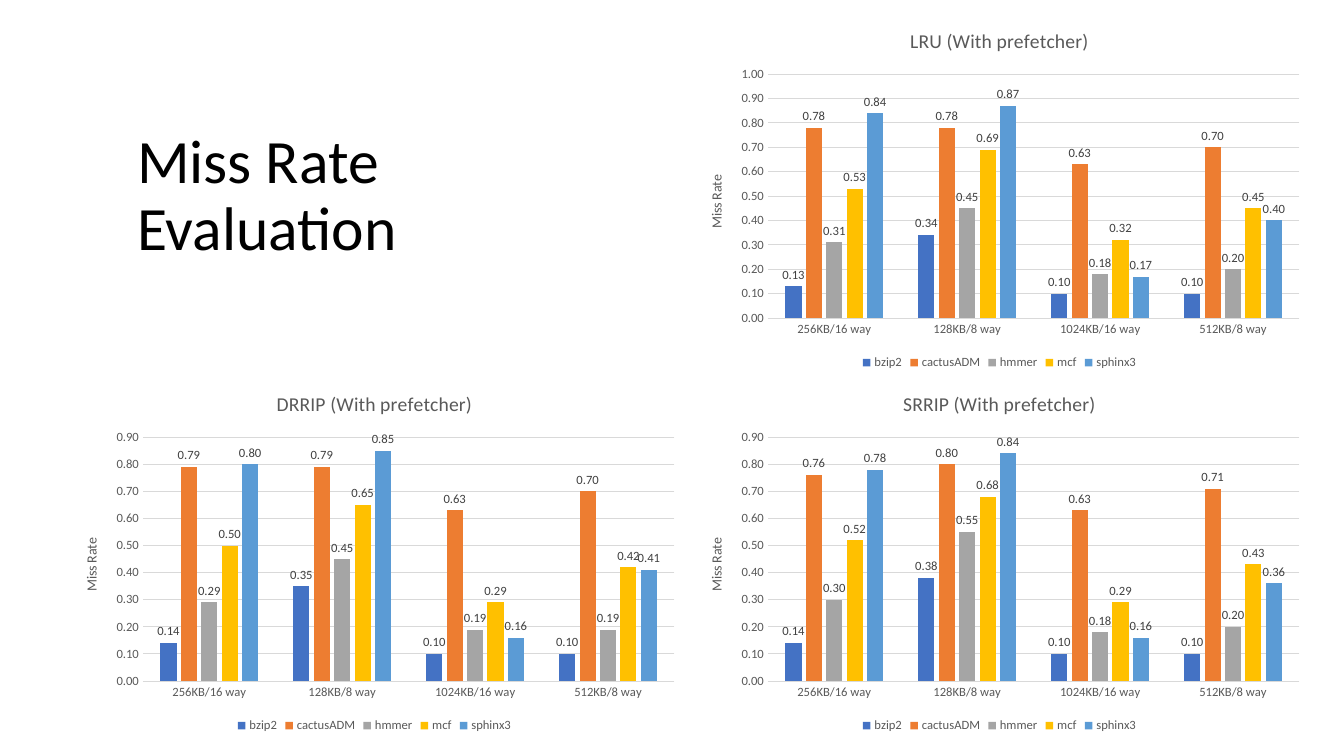
from dataclasses import dataclass

import pptx
import pptx.chart.data
import pptx.dml.color
import pptx.enum.chart
import pptx.enum.text
import pptx.util


@dataclass(frozen=True)
class Theme:
    """Font, colours and type sizes of the slide."""
    font: str = "Calibri"
    black: str = "000000"
    grey: str = "595959"
    label: str = "404040"
    rule: str = "D9D9D9"
    series: tuple = ("4472C4", "ED7D31", "A5A5A5", "FFC000", "5B9BD5")
    heading: int = 44
    chart_title: int = 14
    axis_title: int = 10
    small: int = 9


THEME = Theme()
EMU_PER_PIXEL = 914400 / 100.8
SLIDE_SIZE = (1344, 756)
TITLE_BOX = (127, 124, 531, 146)
CHART_WIDTH, CHART_HEIGHT = 625, 363
COLUMNS = (62, 62 + CHART_WIDTH)
ROWS = (11, 11 + CHART_HEIGHT)
NUMBER_FORMAT = "0.00"

CACHES = ("256KB/16 way", "128KB/8 way", "1024KB/16 way", "512KB/8 way")
BENCHMARKS = ("bzip2", "cactusADM", "hmmer", "mcf", "sphinx3")

# Policy, column, row, axis maximum, one row of miss rates per benchmark
POLICIES = (
    ("DRRIP", 0, 1, 0.9, (
        (0.14, 0.35, 0.10, 0.10),
        (0.79, 0.79, 0.63, 0.70),
        (0.29, 0.45, 0.19, 0.19),
        (0.50, 0.65, 0.29, 0.42),
        (0.80, 0.85, 0.16, 0.41))),
    ("SRRIP", 1, 1, 0.9, (
        (0.14, 0.38, 0.10, 0.10),
        (0.76, 0.80, 0.63, 0.71),
        (0.30, 0.55, 0.18, 0.20),
        (0.52, 0.68, 0.29, 0.43),
        (0.78, 0.84, 0.16, 0.36))),
    ("LRU", 1, 0, 1.0, (
        (0.13, 0.34, 0.10, 0.10),
        (0.78, 0.78, 0.63, 0.70),
        (0.31, 0.45, 0.18, 0.20),
        (0.53, 0.69, 0.32, 0.45),
        (0.84, 0.87, 0.17, 0.40))),
)


def emu(pixels):
    """Turn pixels into EMU."""
    return pptx.util.Emu(round(pixels * EMU_PER_PIXEL))


def apply(target, values):
    """Set each attribute of target from a dict."""
    for name, value in values.items():
        setattr(target, name, value)


def style_font(font, size, color):
    """Give a font the theme's face, a size and a colour."""
    apply(font, {"name": THEME.font, "size": pptx.util.Pt(size), "bold": False})
    font.color.rgb = pptx.dml.color.RGBColor.from_string(color)


def style_line(line, color):
    """Draw a thin line in one colour."""
    line.width = pptx.util.Pt(0.75)
    line.color.rgb = pptx.dml.color.RGBColor.from_string(color)


def write_text(text_frame, text, size, color):
    """Write one styled run into a text frame."""
    text_frame.text = text
    style_font(text_frame.paragraphs[0].runs[0].font, size, color)


def add_title(slide, text):
    """Place and fill the title placeholder."""
    title = slide.shapes.title
    apply(title, dict(zip(("left", "top", "width", "height"), map(emu, TITLE_BOX))))
    write_text(title.text_frame, text, THEME.heading, THEME.black)
    apply(title.text_frame, {
        "word_wrap": True,
        "vertical_anchor": pptx.enum.text.MSO_ANCHOR.MIDDLE,
        "auto_size": pptx.enum.text.MSO_AUTO_SIZE.NONE,
    })
    apply(title.text_frame.paragraphs[0], {
        "alignment": pptx.enum.text.PP_ALIGN.LEFT, "line_spacing": 0.9})


def style_axes(chart, maximum):
    """Format the cache axis and the miss rate axis."""
    no_tick = pptx.enum.chart.XL_TICK_MARK.NONE
    for axis in (chart.category_axis, chart.value_axis):
        apply(axis, {"major_tick_mark": no_tick, "minor_tick_mark": no_tick})
        style_font(axis.tick_labels.font, THEME.small, THEME.grey)
    style_line(chart.category_axis.format.line, THEME.rule)
    rates = chart.value_axis
    apply(rates, {"minimum_scale": 0, "maximum_scale": maximum, "major_unit": 0.1,
                  "has_major_gridlines": True})
    apply(rates.tick_labels, {"number_format": NUMBER_FORMAT,
                              "number_format_is_linked": False})
    rates.format.line.fill.background()
    style_line(rates.major_gridlines.format.line, THEME.rule)
    write_text(rates.axis_title.text_frame, "Miss Rate", THEME.axis_title, THEME.grey)


def style_series(plot):
    """Colour the columns and show their values."""
    apply(plot, {"gap_width": 219, "overlap": -27, "vary_by_categories": False})
    for series, color in zip(plot.series, THEME.series):
        series.invert_if_negative = False
        series.format.fill.solid()
        series.format.fill.fore_color.rgb = pptx.dml.color.RGBColor.from_string(color)
        labels = series.data_labels
        apply(labels, {
            "show_value": True,
            "number_format": NUMBER_FORMAT,
            "number_format_is_linked": False,
            "position": pptx.enum.chart.XL_LABEL_POSITION.OUTSIDE_END,
        })
        style_font(labels.font, THEME.small, THEME.label)


def add_miss_rate_chart(slide, policy, column, row, maximum, rates):
    """Add the column chart of one replacement policy."""
    data = pptx.chart.data.CategoryChartData(number_format=NUMBER_FORMAT)
    data.categories = CACHES
    for benchmark, values in zip(BENCHMARKS, rates):
        data.add_series(benchmark, values)
    chart = slide.shapes.add_chart(
        pptx.enum.chart.XL_CHART_TYPE.COLUMN_CLUSTERED,
        emu(COLUMNS[column]), emu(ROWS[row]),
        emu(CHART_WIDTH), emu(CHART_HEIGHT), data).chart
    style_font(chart.font, THEME.axis_title, THEME.black)
    apply(chart, {"has_title": True, "has_legend": True})
    write_text(chart.chart_title.text_frame, f"{policy} (With prefetcher)",
               THEME.chart_title, THEME.grey)
    chart.chart_title.include_in_layout = False
    apply(chart.legend, {"position": pptx.enum.chart.XL_LEGEND_POSITION.BOTTOM,
                         "include_in_layout": False})
    style_font(chart.legend.font, THEME.small, THEME.grey)
    style_axes(chart, maximum)
    style_series(chart.plots[0])


def main():
    """Build and save the slide."""
    presentation = pptx.Presentation()
    width, height = map(emu, SLIDE_SIZE)
    apply(presentation, {"slide_width": width, "slide_height": height})
    title_only = presentation.slide_layouts.get_by_name("Title Only")
    slide = presentation.slides.add_slide(title_only)
    add_title(slide, "Miss Rate Evaluation")
    for policy in POLICIES:
        add_miss_rate_chart(slide, *policy)
    presentation.save("out.pptx")


main()
